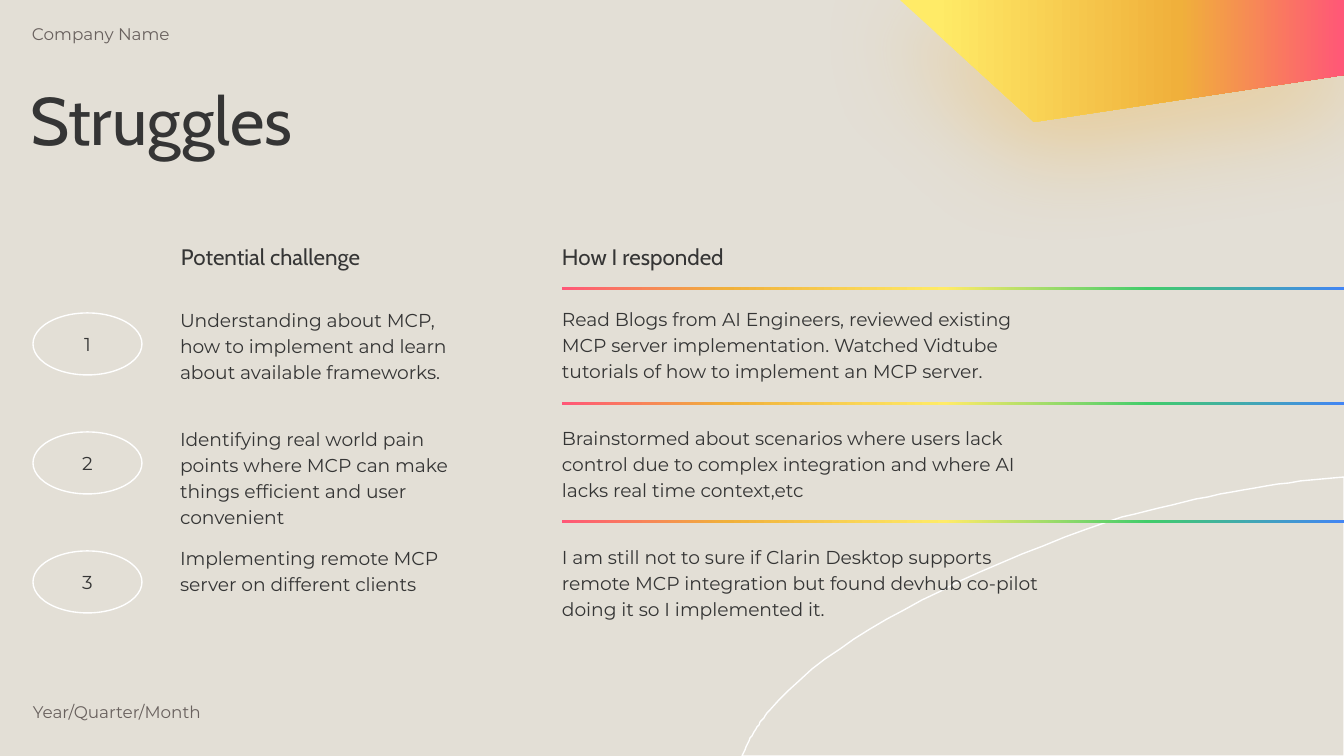
from lxml import etree
from pptx import Presentation
from pptx.dml.color import RGBColor
from pptx.enum.shapes import MSO_SHAPE
from pptx.enum.text import MSO_ANCHOR, PP_ALIGN
from pptx.oxml.ns import qn
from pptx.util import Pt

ELLIPSE, RECTANGLE = MSO_SHAPE.OVAL, MSO_SHAPE.RECTANGLE
TOP, MIDDLE, BOTTOM = MSO_ANCHOR.TOP, MSO_ANCHOR.MIDDLE, MSO_ANCHOR.BOTTOM
LEFT, CENTER = PP_ALIGN.LEFT, PP_ALIGN.CENTER

EMU_PER_PX = 9144000 / 1344
WIDTH, HEIGHT = 1344, 756
TITLE_ONLY = 5

INK, MUTED, PAPER, WHITE = "353535", "69615E", "E3DFD6", "FFFFFF"
PINK, AMBER, YELLOW, GREEN, BLUE = "FF5777", "F0B03B", "FFEB67", "41CC6B", "4285F4"
RAINBOW = [(0, PINK), (21, AMBER), (49, YELLOW), (75, GREEN), (100, BLUE)]
SUNSET = [(0, YELLOW), (8, YELLOW), (63, AMBER), (100, PINK)]
HEADING_FONT, BODY_FONT = "Cabin", "Montserrat"

INSET = 13
CHALLENGE_LEFT, RESPONSE_LEFT = 167, 562
FIRST_ROW_TOP, ROW_PITCH, ROW_HEIGHT = 293, 119, 101
RULE_TOPS = [287, 402, 520]
ROWS = [
    ("Understanding about MCP, how to implement and learn about available frameworks.",
     "Read Blogs from AI Engineers, reviewed existing MCP server implementation. "
     "Watched Vidtube tutorials of how to implement an MCP server."),
    ("Identifying real world pain points where MCP can make things efficient and user convenient",
     "Brainstormed about scenarios where users lack control due to complex integration "
     "and where AI lacks real time context,etc"),
    ("Implementing remote MCP server on different clients",
     "I am still not to sure if Clarin Desktop supports remote MCP integration "
     "but found devhub co-pilot doing it so I implemented it."),
]
# Joined cubic curves: a start, then two handles and an end for each
ARC = [(1344, 477), (1273, 482), (1193, 497), (1110, 521), (958, 574),
       (827, 641), (769, 711), (757, 726), (747, 742), (742, 756)]


def px(value):
    return round(value * EMU_PER_PX)


def color(hex_value):
    return RGBColor.from_string(hex_value)


def write_text(shape, text, size=10, font=BODY_FONT, ink=INK, anchor=TOP, align=LEFT,
               line_spacing=None, inset=INSET, left_inset=INSET):
    frame = shape.text_frame
    frame.word_wrap = True
    frame.vertical_anchor = anchor
    frame.margin_left = px(left_inset)
    frame.margin_top = frame.margin_right = frame.margin_bottom = px(inset)
    paragraph = frame.paragraphs[0]
    paragraph.text = text
    paragraph.alignment = align
    if line_spacing:
        paragraph.line_spacing = line_spacing
    paragraph.font.size = Pt(size)
    paragraph.font.name = font
    paragraph.font.color.rgb = color(ink)


def add_text(slide, box, text, **text_format):
    shape = slide.shapes.add_textbox(*map(px, box))
    write_text(shape, text, **text_format)


def fill_gradient(shape, stops):
    shape.fill.gradient()
    shape.fill.gradient_angle = 0
    stop_list = shape._element.spPr.find(".//" + qn("a:gsLst"))
    for stop in list(stop_list):
        stop_list.remove(stop)
    for position, hex_value in stops:
        stop = etree.SubElement(stop_list, qn("a:gs"), pos=str(position * 1000))
        etree.SubElement(stop, qn("a:srgbClr"), val=hex_value)


def add_glow(shape, hex_value, alpha, blur, distance, angle):
    shape.shadow.inherit = False
    effects = shape._element.spPr.find(qn("a:effectLst"))
    shadow = etree.SubElement(effects, qn("a:outerShdw"), blurRad=str(Pt(blur)),
                              dist=str(Pt(distance)), dir=str(angle * 60000),
                              algn="bl", rotWithShape="0")
    tint = etree.SubElement(shadow, qn("a:srgbClr"), val=hex_value)
    etree.SubElement(tint, qn("a:alpha"), val=str(alpha * 1000))


def outline(shape):
    shape.shadow.inherit = False
    shape.fill.background()
    shape.line.color.rgb = color(WHITE)
    shape.line.width = Pt(0.75)


def add_polygon(slide, points):
    builder = slide.shapes.build_freeform(*points[0], scale=EMU_PER_PX)
    builder.add_line_segments(points[1:], close=True)
    return builder.convert_to_shape()


def curve_points(nodes, steps=20):
    points = [nodes[0]]
    for first in range(0, len(nodes) - 1, 3):
        for step in range(1, steps + 1):
            t = step / steps
            weights = ((1 - t) ** 3, 3 * t * (1 - t) ** 2, 3 * t * t * (1 - t), t ** 3)
            points.append(tuple(sum(w * node[axis] for w, node in
                                    zip(weights, nodes[first:first + 4]))
                                for axis in (0, 1)))
    return points


def add_decoration(slide):
    outline(add_polygon(slide, curve_points(ARC) + [(WIDTH, HEIGHT)]))
    wedge = add_polygon(slide, [(900, 0), (1034, 122), (WIDTH, 75), (WIDTH, 0)])
    fill_gradient(wedge, SUNSET)
    wedge.line.fill.background()
    add_glow(wedge, AMBER, alpha=40, blur=55.1, distance=17.2, angle=95)


def add_rule(slide, top):
    rule = slide.shapes.add_shape(
        RECTANGLE, *map(px, (RESPONSE_LEFT, top, WIDTH - RESPONSE_LEFT, 3)))
    rule.shadow.inherit = False
    rule.line.fill.background()
    fill_gradient(rule, RAINBOW)


def add_row(slide, number, challenge, response):
    top = FIRST_ROW_TOP + (number - 1) * ROW_PITCH
    badge = slide.shapes.add_shape(ELLIPSE, *map(px, (33, top + 20, 109, 62)))
    outline(badge)
    write_text(badge, str(number), anchor=MIDDLE, align=CENTER)
    add_text(slide, (CHALLENGE_LEFT, top, 297, ROW_HEIGHT), challenge, line_spacing=1.15)
    add_text(slide, (RESPONSE_LEFT, top, 492, ROW_HEIGHT), response,
             anchor=MIDDLE, line_spacing=1.15, left_inset=0)


def main():
    presentation = Presentation()
    presentation.slide_width, presentation.slide_height = px(WIDTH), px(HEIGHT)
    slide = presentation.slides.add_slide(presentation.slide_layouts[TITLE_ONLY])
    slide.background.fill.solid()
    slide.background.fill.fore_color.rgb = color(PAPER)
    add_decoration(slide)

    # Title, header and footer
    title = slide.shapes.title
    title.left, title.top, title.width, title.height = map(px, (17, 74, 946, 101))
    write_text(title, "Struggles", size=36, font=HEADING_FONT, line_spacing=0.9)
    add_text(slide, (5, 13, 233, 28), "Company Name", size=9, ink=MUTED, left_inset=27)
    add_text(slide, (33, 702, 285, 28), "Year/Quarter/Month", size=9, ink=MUTED,
             inset=0, left_inset=0)

    # Column headings
    for left, heading, left_inset in ((CHALLENGE_LEFT + 1, "Potential challenge", INSET),
                                      (RESPONSE_LEFT, "How I responded", 0)):
        add_text(slide, (left, 224, 323, 59), heading, size=12, font=HEADING_FONT,
                 anchor=BOTTOM, line_spacing=1.15, left_inset=left_inset)

    # Challenges and responses
    for top in RULE_TOPS:
        add_rule(slide, top)
    for number, (challenge, response) in enumerate(ROWS, start=1):
        add_row(slide, number, challenge, response)

    presentation.save("out.pptx")


if __name__ == "__main__":
    main()
